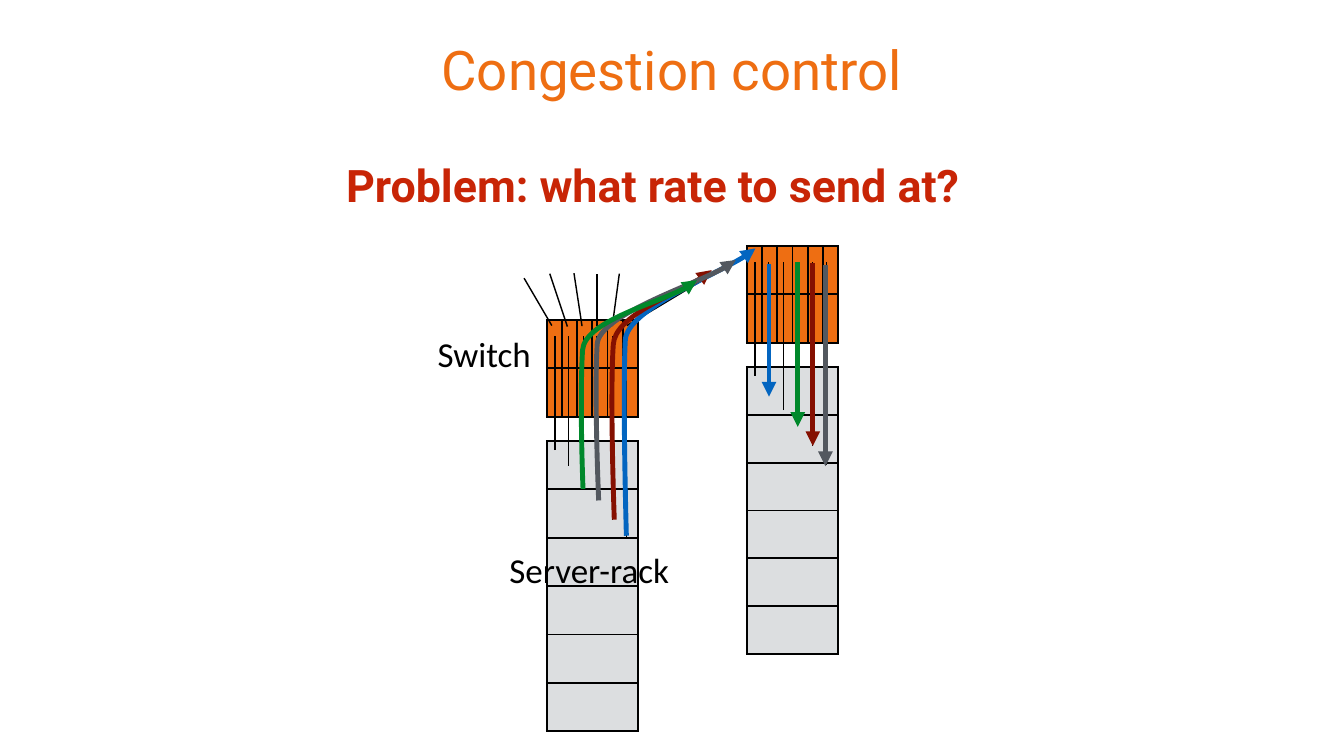
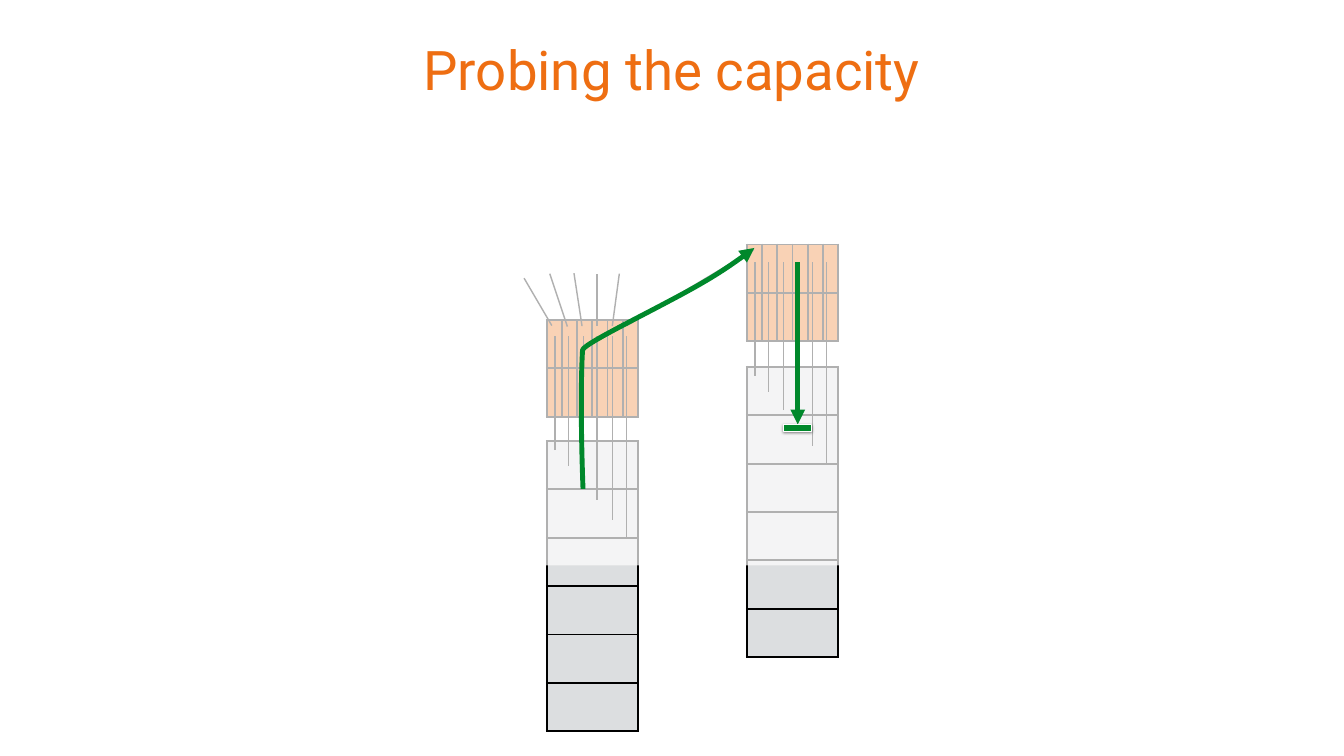
from dataclasses import dataclass

from lxml.etree import SubElement
from pptx import Presentation
from pptx.dml.color import RGBColor
from pptx.enum.shapes import MSO_CONNECTOR, MSO_SHAPE
from pptx.enum.text import MSO_ANCHOR, MSO_AUTO_SIZE, PP_ALIGN
from pptx.oxml.ns import qn
from pptx.util import Inches, Pt


@dataclass(frozen=True)
class Theme:
    orange: str = "EE6E12"
    server: str = "DCDEE0"
    ink: str = "000000"
    paper: str = "FFFFFF"
    alert: str = "C82506"
    blue: str = "0365C0"
    red: str = "851001"
    gray: str = "53585F"
    green: str = "00882B"
    title_font: str = "Roboto"
    label_font: str = "Calibri"
    title_size: int = 78
    question_size: int = 64
    label_size: int = 50
    flow_width: int = 7
    link_width: int = 2
    border_width: int = 3


THEME = Theme()

TITLES = ["Congestion control", "Probing the capacity"]
QUESTION = ("Problem: what rate to send at?", (6.37, 3.04, 13.16, 1.23))
LABELS = [
    ("Server-rack", (10, 10.82, 3.39, 0.96)),
    ("Switch", (8.6, 6.53, 2.02, 0.96)),
]

UNIT_WIDTH = 1.81
ROW_HEIGHT = 0.96
SERVERS = 6
PORTS = 6
NEAR_LEFT, NEAR_SWITCH_TOP, NEAR_RACK_TOP = 10.85, 6.35, 8.75
FAR_SHIFT = (3.97, -1.47)
LINK_TOP = 6.67
SERVER_LINKS = [(11.01, 8.93), (11.28, 9.24), (11.58, 9.61),
                (11.85, 9.92), (12.15, 10.31), (12.43, 10.69)]
UPLINKS = [
    ((10.95, 6.46), (10.4, 5.52)),
    ((11.26, 6.48), (10.91, 5.43)),
    ((11.55, 6.47), (11.39, 5.42)),
    ((11.85, 6.47), (11.85, 5.43)),
    ((12.15, 6.47), (12.29, 5.43)),
    ((12.44, 6.46), (14.96, 4.95)),
]

FLOWS = [
    (THEME.blue, [(12.43, 10.63), (12.43, 10.63), (12.35, 7.78), (12.41, 6.74),
                  (12.45, 6.15), (14.66, 5.27), (14.99, 4.93)]),
    (THEME.red, [(12.19, 10.31), (12.19, 10.31), (12.1, 7.89), (12.17, 6.84),
                 (12.2, 6.26), (13.79, 5.7), (14.12, 5.36)]),
    (THEME.gray, [(11.88, 9.93), (11.88, 9.93), (11.79, 7.88), (11.85, 6.83),
                  (11.89, 6.25), (14.26, 5.5), (14.6, 5.16)]),
    (THEME.green, [(11.57, 9.7), (11.57, 9.7), (11.5, 8), (11.56, 6.95),
                   (11.6, 6.37), (13.5, 5.9), (13.83, 5.56)]),
]
DELIVERIES = [
    (THEME.green, 15.83, 5.2, 8.47),
    (THEME.red, 16.13, 5.22, 8.85),
    (THEME.gray, 16.38, 5.26, 9.25),
    (THEME.blue, 15.26, 5.24, 7.87),
]
PROBE = [(11.57, 9.7), (11.57, 9.7), (11.5, 8), (11.56, 6.95),
         (11.57, 6.84), (12.48, 6.4), (13.38, 5.92),
         (14.21, 5.48), (14.95, 4.95), (14.97, 4.92)]
VEIL = (9.59, 4.63, 8.23, 6.59)
VEIL_OPACITY = 69
BAR = (15.55, 8.42, 0.56, 0.13)


def inches(values):
    return [Inches(value) for value in values]


def color(code):
    return RGBColor.from_string(code)


def properties(shape):
    return shape.element.find(qn("p:spPr"))


def style_line(shape, code, width, arrow=False):
    shape.line.color.rgb = color(code)
    shape.line.width = Pt(width)
    if arrow:
        SubElement(properties(shape).find(qn("a:ln")), qn("a:tailEnd"), type="triangle")


def add_line(page, start, end, code=THEME.ink, width=THEME.link_width, arrow=False):
    line = page.shapes.add_connector(MSO_CONNECTOR.STRAIGHT, *inches(start + end))
    style_line(line, code, width, arrow)
    SubElement(properties(line), qn("a:effectLst"))
    return line


def bend(shape):
    outline = next(properties(shape).iter(qn("a:path")))
    steps = outline.findall(qn("a:lnTo"))
    for first in range(0, len(steps), 3):
        curve = SubElement(outline, qn("a:cubicBezTo"))
        for step in steps[first:first + 3]:
            curve.append(step[0])
            outline.remove(step)


def add_flow(page, code, nodes):
    start, *rest = [inches(node) for node in nodes]
    builder = page.shapes.build_freeform(*start)
    builder.add_line_segments(rest, close=False)
    flow = builder.convert_to_shape()
    bend(flow)
    flow.fill.background()
    flow.shadow.inherit = False
    style_line(flow, code, THEME.flow_width, arrow=True)


def add_rectangle(page, place, code):
    box = page.shapes.add_shape(MSO_SHAPE.RECTANGLE, *inches(place))
    box.shadow.inherit = False
    box.fill.solid()
    box.fill.fore_color.rgb = color(code)
    return box


def add_grid(page, left, top, rows, columns, code, row_height=ROW_HEIGHT):
    place = inches((left, top, UNIT_WIDTH, rows * row_height))
    table = page.shapes.add_table(rows, columns, *place).table
    table.first_row = table.horz_banding = False
    for column in table.columns:
        column.width = Inches(UNIT_WIDTH / columns)
    for cell in table.iter_cells():
        cell.margin_left = cell.margin_right = 0
        for side in ("L", "R", "T", "B"):
            border = SubElement(cell._tc.get_or_add_tcPr(), qn(f"a:ln{side}"),
                                w=str(Pt(THEME.border_width)))
            SubElement(SubElement(border, qn("a:solidFill")), qn("a:srgbClr"), val=THEME.ink)
        cell.fill.solid()
        cell.fill.fore_color.rgb = color(code)


def set_text(box, text, font, size, code, bold=False):
    frame = box.text_frame
    frame.text = text
    frame.vertical_anchor = MSO_ANCHOR.MIDDLE
    frame.margin_left = frame.margin_right = Inches(0.08)
    frame.margin_top = frame.margin_bottom = Inches(0.08)
    para = frame.paragraphs[0]
    para.alignment = PP_ALIGN.CENTER
    span = para.runs[0]
    span.font.name = font
    span.font.size = Pt(size)
    span.font.bold = bold
    span.font.color.rgb = color(code)
    return frame


def add_label(page, text, place, font, size, code, bold=False):
    box = page.shapes.add_textbox(*inches(place))
    frame = set_text(box, text, font, size, code, bold)
    frame.word_wrap = False
    frame.auto_size = MSO_AUTO_SIZE.SHAPE_TO_FIT_TEXT


def add_page(deck, title):
    page = deck.slides.add_slide(deck.slide_layouts[5])
    box = page.shapes.title
    box.left, box.top, box.width, box.height = inches((3.33, 0, 20, 2.73))
    frame = set_text(box, title, THEME.title_font, THEME.title_size, THEME.orange)
    frame.auto_size = MSO_AUTO_SIZE.NONE
    return page


def draw_network(page, far_switch_top, far_row_height):
    shift_x, shift_y = FAR_SHIFT
    far_left = NEAR_LEFT + shift_x
    add_grid(page, NEAR_LEFT, NEAR_RACK_TOP, SERVERS, 1, THEME.server)
    add_grid(page, far_left, NEAR_RACK_TOP + shift_y, SERVERS, 1, THEME.server, far_row_height)
    add_grid(page, NEAR_LEFT, NEAR_SWITCH_TOP, 2, PORTS, THEME.orange)
    add_grid(page, far_left, far_switch_top, 2, PORTS, THEME.orange)
    for dx, dy in ((0, 0), FAR_SHIFT):
        for x, bottom in SERVER_LINKS:
            add_line(page, (x + dx, bottom + dy), (x + dx, LINK_TOP + dy))
    for start, end in UPLINKS:
        add_line(page, start, end)


def draw_congestion(deck):
    page = add_page(deck, TITLES[0])
    draw_network(page, 4.88, 0.95)
    for text, place in LABELS:
        add_label(page, text, place, THEME.label_font, THEME.label_size, THEME.ink)
    for code, nodes in FLOWS:
        add_flow(page, code, nodes)
    add_label(page, *QUESTION, THEME.title_font, THEME.question_size, THEME.alert, bold=True)
    for code, x, top, bottom in DELIVERIES:
        add_line(page, (x, top), (x, bottom), code, THEME.flow_width, arrow=True)


def draw_probing(deck):
    page = add_page(deck, TITLES[1])
    draw_network(page, 4.85, ROW_HEIGHT)
    veil = add_rectangle(page, VEIL, THEME.paper)
    veil.line.fill.background()
    tint = properties(veil).find(qn("a:solidFill")).find(qn("a:srgbClr"))
    SubElement(tint, qn("a:alpha"), val=str(VEIL_OPACITY * 1000))

    add_flow(page, THEME.green, PROBE)
    code, x, top, bottom = DELIVERIES[0]
    delivery = add_line(page, (x, top), (x, bottom), code, THEME.flow_width, arrow=True)
    bar = add_rectangle(page, BAR, THEME.green)
    style_line(bar, THEME.paper, 1)
    shadow = SubElement(properties(bar).find(qn("a:effectLst")), qn("a:outerShdw"),
                        blurRad=str(Pt(4)), dist=str(Pt(2)), dir="5400000", rotWithShape="0")
    SubElement(SubElement(shadow, qn("a:srgbClr"), val=THEME.ink), qn("a:alpha"), val="50000")
    delivery.end_connect(bar, 0)


def main():
    deck = Presentation()
    deck.slide_width, deck.slide_height = inches((26.67, 15))
    draw_congestion(deck)
    draw_probing(deck)
    deck.save("out.pptx")


if __name__ == "__main__":
    main()
